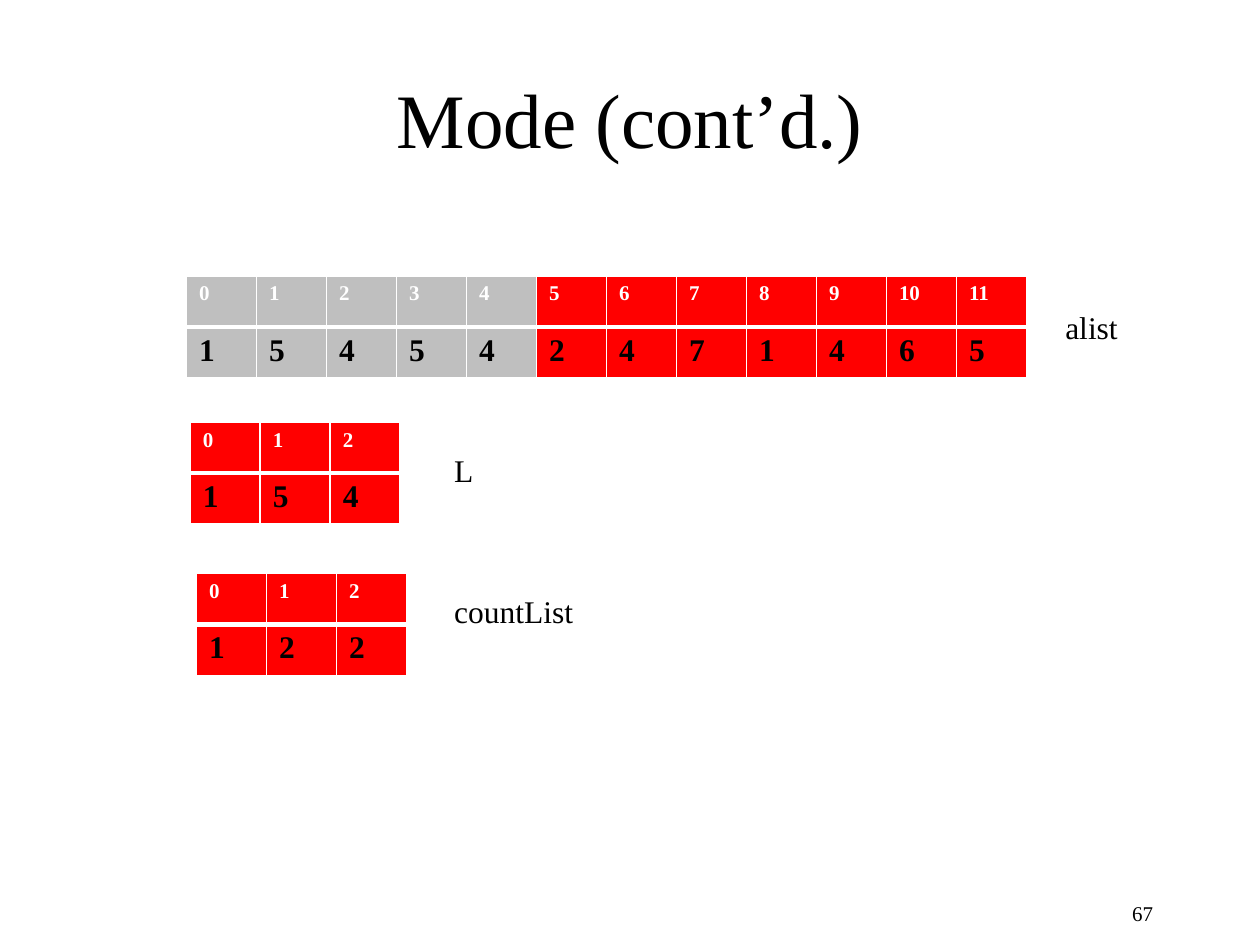
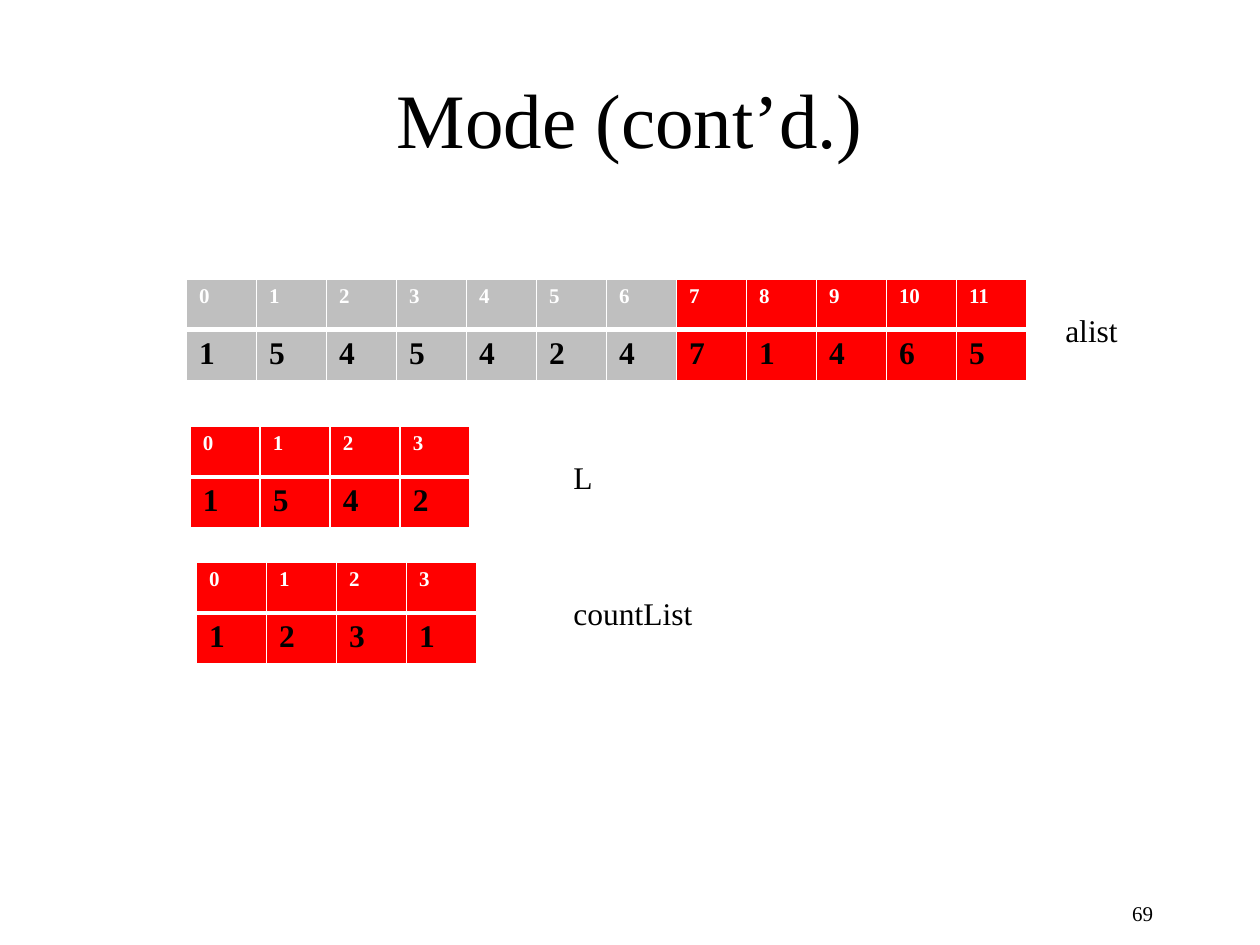
from lxml import etree
from pptx import Presentation
from pptx import util as u
from pptx.dml import color
from pptx.enum import text
from pptx.oxml import ns

W, H = u.Inches(10), u.Inches(7.5)
COL, ROW = W / 18, H * 0.054
LABEL_H = H * 0.0533
FONT = "Times New Roman"
BLACK, WHITE, RED, GRAY = "000000", "FFFFFF", "FF0000", "BFBFBF"
TITLE = "Mode (cont’d.)"
ALIST = [1, 5, 4, 5, 4, 2, 4, 7, 1, 4, 6, 5]

SLIDES = [
    dict(number=67, lists=[
        dict(name="alist", values=ALIST, done=5, at=(14.8, 29.2), gap=(2.1, 2.73), label_w=7.7),
        dict(name="L", values=[1, 5, 4], at=(15.1, 44.67), gap=(3.3, 2.4), label_w=7.7),
        dict(name="countList", values=[1, 2, 2], at=(15.6, 60.67), gap=(2.8, 1.33), label_w=11.8),
    ]),
    dict(number=69, lists=[
        dict(name="alist", values=ALIST, done=7, at=(14.8, 29.5), gap=(2.1, 2.73), label_w=7.7),
        dict(name="L", values=[1, 5, 4, 2], at=(15.1, 45.07), gap=(7.2, 2.73), label_w=7.7),
        dict(name="countList", values=[1, 2, 3, 1], at=(15.6, 59.47), gap=(6.7, 2.73), label_w=11.8),
    ]),
]


def rgb(value):
    return color.RGBColor.from_string(value)


def share(x, y):
    return W * x / 100, H * y / 100


def emu(*lengths):
    return [u.Emu(round(n)) for n in lengths]


def add_run(p, words, size, fill=BLACK, bold=False):
    r = p.add_run()
    r.text = str(words)
    r.font.name, r.font.size, r.font.bold = FONT, u.Pt(size), bold
    r.font.color.rgb = rgb(fill)


def add_text(slide, box, words, size):
    tf = slide.shapes.add_textbox(*emu(*box)).text_frame
    tf.word_wrap = True
    add_run(tf.paragraphs[0], words, size)
    return tf


def add_borders(cell, **widths):
    tc_pr = cell._tc.get_or_add_tcPr()
    for i, (side, width) in enumerate(widths.items()):
        ln = etree.Element(ns.qn(f"a:ln{side}"), w=str(u.Pt(width)))
        fill = etree.SubElement(ln, ns.qn("a:solidFill"))
        etree.SubElement(fill, ns.qn("a:srgbClr"), val=WHITE)
        tc_pr.insert(i, ln)


def fill_cell(cell, words, size, font_color, fill, top, bottom):
    add_run(cell.text_frame.paragraphs[0], words, size, font_color, True)
    cell.fill.solid()
    cell.fill.fore_color.rgb = rgb(fill)
    add_borders(cell, L=1, R=1, T=top, B=bottom)


def add_list(slide, name, values, at, gap, label_w, done=0):
    x, y = share(*at)
    dx, dy = share(*gap)
    width = COL * len(values)
    table = slide.shapes.add_table(2, len(values), *emu(x, y, width, 2 * ROW)).table
    for row in table.rows:
        row.height = emu(ROW)[0]
    for i, value in enumerate(values):
        table.columns[i].width = emu(COL)[0]
        fill = GRAY if i < done else RED
        fill_cell(table.cell(0, i), i, 12, WHITE, fill, 1, 3)
        fill_cell(table.cell(1, i), value, 18, BLACK, fill, 3, 1)
    tf = add_text(slide, (x + width + dx, y + dy, W * label_w / 100, LABEL_H), name, 18)
    tf.auto_size = text.MSO_AUTO_SIZE.SHAPE_TO_FIT_TEXT


def add_title(slide):
    sp = slide.shapes.title
    sp.left, sp.top, sp.width, sp.height = emu(*share(7.5, 4.13), *share(85, 16.67))
    tf = sp.text_frame
    tf.vertical_anchor = text.MSO_ANCHOR.MIDDLE
    p = tf.paragraphs[0]
    p.alignment = text.PP_ALIGN.CENTER
    add_run(p, TITLE, 44)


def add_number(slide, number):
    tf = add_text(slide, (*share(71.7, 93.33), *share(20.8, 6.67)), number, 12)
    tf.vertical_anchor = text.MSO_ANCHOR.MIDDLE
    tf.paragraphs[0].alignment = text.PP_ALIGN.RIGHT


def add_lists_slide(prs, number, lists):
    slide = prs.slides.add_slide(prs.slide_layouts[5])
    add_title(slide)
    for item in lists:
        add_list(slide, **item)
    add_number(slide, number)


def main():
    prs = Presentation()
    prs.slide_width, prs.slide_height = W, H
    for content in SLIDES:
        add_lists_slide(prs, **content)
    prs.save("out.pptx")


if __name__ == "__main__":
    main()
